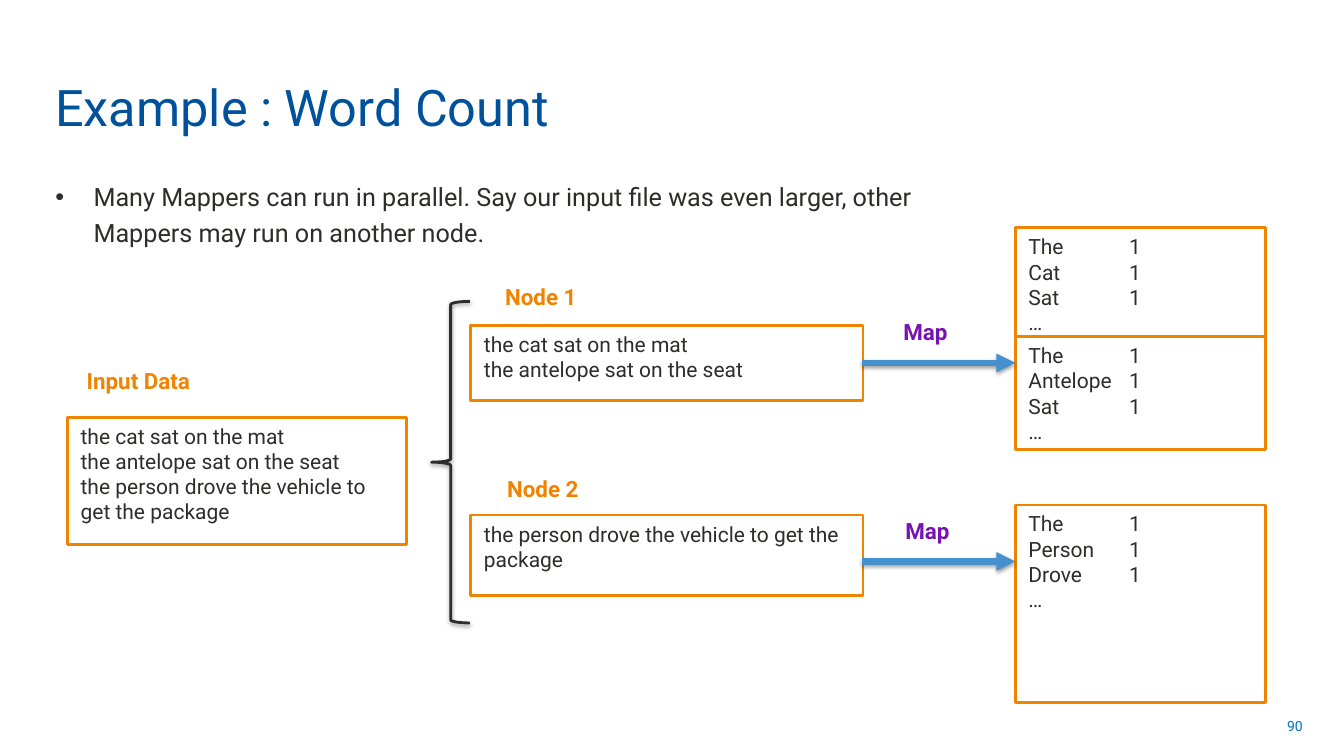
"""Build the word count slide showing mappers running in parallel."""
from dataclasses import dataclass

from lxml import etree
from pptx import Presentation
from pptx import util as u
from pptx.dml.color import RGBColor
from pptx.enum import shapes, text
from pptx.oxml.ns import qn

PX = 9144
FONT = "Roboto"
WHITE = RGBColor(0xFF, 0xFF, 0xFF)
INK = RGBColor(0x2E, 0x2D, 0x2C)
NAVY = RGBColor(0x00, 0x51, 0x9C)
BLUE = RGBColor(0x00, 0x70, 0xC0)
SKY = RGBColor(0x45, 0x91, 0xCE)
ORANGE = RGBColor(0xF0, 0x83, 0x00)
PURPLE = RGBColor(0x77, 0x13, 0xB2)
TAB = 100
BULLET_INDENT = 38


@dataclass(frozen=True)
class Box:
    x: int
    y: int
    w: int
    h: int

    def emu(self) -> list[u.Emu]:
        return [u.Emu(v * PX) for v in (self.x, self.y, self.w, self.h)]


@dataclass(frozen=True)
class Panel:
    box: Box
    lines: tuple[str, ...]


@dataclass(frozen=True)
class Label:
    box: Box
    words: str
    color: RGBColor = ORANGE


@dataclass(frozen=True)
class Arrow:
    x1: int
    x2: int
    y: int


def counts(*words: str) -> tuple[str, ...]:
    return (*(f"{word}\t1" for word in words), "…")


PANELS = [
    Panel(Box(67, 414, 336, 126), (
        "the cat sat on the mat",
        "the antelope sat on the seat",
        "the person drove the vehicle to get the package",
    )),
    Panel(Box(467, 323, 389, 74),
          ("the cat sat on the mat", "the antelope sat on the seat")),
    Panel(Box(467, 511, 389, 80),
          ("the person drove the vehicle to get the package",)),
    Panel(Box(1007, 226, 248, 108), counts("The", "Cat", "Sat")),
    Panel(Box(1007, 334, 248, 112), counts("The", "Antelope", "Sat")),
    Panel(Box(1007, 501, 248, 196), counts("The", "Person", "Drove")),
]
LABELS = [
    Label(Box(73, 358, 214, 40), "Input Data"),
    Label(Box(488, 275, 144, 40), "Node 1"),
    Label(Box(490, 465, 144, 40), "Node 2"),
    Label(Box(883, 310, 115, 40), "Map", PURPLE),
    Label(Box(885, 507, 115, 40), "Map", PURPLE),
]
ARROWS = [Arrow(855, 1007, 360), Arrow(855, 1007, 557)]
BRACE = Box(428, 299, 38, 319)


def add_tab_stop(p) -> None:
    tabs = etree.SubElement(p._p.get_or_add_pPr(), qn("a:tabLst"))
    etree.SubElement(tabs, qn("a:tab"), pos=str(TAB * PX), algn="l")


def add_bullet(p) -> None:
    props = p._p.get_or_add_pPr()
    props.set("marL", str(BULLET_INDENT * PX))
    props.set("indent", str(-BULLET_INDENT * PX))
    etree.SubElement(props, qn("a:buFont"), typeface="Arial")
    etree.SubElement(props, qn("a:buChar"), char="•")


def add_shadow(sp) -> None:
    props = sp._element.spPr
    for old in props.findall(qn("a:effectLst")):
        props.remove(old)
    effects = etree.SubElement(props, qn("a:effectLst"))
    shadow = etree.SubElement(
        effects, qn("a:outerShdw"), blurRad=str(u.Pt(3.1)), dist=str(u.Pt(1.6)),
        dir="5400000", rotWithShape="0")
    color = etree.SubElement(shadow, qn("a:srgbClr"), val="000000")
    etree.SubElement(color, qn("a:alpha"), val="38000")


def write(sp, *lines: str, size: int, color: RGBColor = INK, bold: bool = False,
          align=text.PP_ALIGN.LEFT, anchor=text.MSO_ANCHOR.TOP,
          inset: tuple[int, int] = (13, 6), bullet: bool = False,
          spacing: float | None = None) -> None:
    tf = sp.text_frame
    tf.word_wrap = True
    tf.vertical_anchor = anchor
    tf.margin_left = tf.margin_right = u.Emu(inset[0] * PX)
    tf.margin_top = tf.margin_bottom = u.Emu(inset[1] * PX)
    for i, line in enumerate(lines):
        p = tf.add_paragraph() if i else tf.paragraphs[0]
        p.alignment = align
        if spacing:
            p.line_spacing = spacing
        if bullet:
            add_bullet(p)
        if "\t" in line:
            add_tab_stop(p)
        r = p.add_run()
        r.text = line
        r.font.name = FONT
        r.font.size = u.Pt(size)
        r.font.bold = bold
        r.font.color.rgb = color


def add_text(s, box: Box, *lines: str, **style):
    sp = s.shapes.add_textbox(*box.emu())
    write(sp, *lines, **style)
    return sp


def add_panel(s, panel: Panel) -> None:
    sp = s.shapes.add_shape(shapes.MSO_SHAPE.RECTANGLE, *panel.box.emu())
    sp.shadow.inherit = False
    sp.fill.solid()
    sp.fill.fore_color.rgb = WHITE
    sp.line.color.rgb = ORANGE
    sp.line.width = u.Pt(2)
    write(sp, *panel.lines, size=15)


def add_label(s, label: Label) -> None:
    sp = add_text(s, label.box, label.words, size=16, color=label.color, bold=True)
    sp.text_frame.auto_size = text.MSO_AUTO_SIZE.SHAPE_TO_FIT_TEXT


def add_arrow(s, arrow: Arrow) -> None:
    ends = (arrow.x1, arrow.y, arrow.x2, arrow.y)
    sp = s.shapes.add_connector(shapes.MSO_CONNECTOR.STRAIGHT,
                                *(u.Emu(v * PX) for v in ends))
    sp.line.color.rgb = SKY
    sp.line.width = u.Pt(4.5)
    etree.SubElement(sp.line._get_or_add_ln(), qn("a:tailEnd"), type="triangle")
    add_shadow(sp)


def add_brace(s, box: Box) -> None:
    sp = s.shapes.add_shape(shapes.MSO_SHAPE.LEFT_BRACE, *box.emu())
    sp.fill.background()
    sp.line.color.rgb = INK
    sp.line.width = u.Pt(2)
    add_shadow(sp)


def main() -> None:
    prs = Presentation()
    prs.slide_width, prs.slide_height = u.Emu(1333 * PX), u.Emu(750 * PX)
    s = prs.slides.add_slide(prs.slide_layouts[6])
    add_text(s, Box(991, 700, 311, 40), "90", size=10, color=BLUE, inset=(10, 5),
             align=text.PP_ALIGN.RIGHT, anchor=text.MSO_ANCHOR.MIDDLE)
    add_text(s, Box(45, 14, 998, 126), "Example : Word Count", size=36, color=NAVY,
             inset=(10, 5), anchor=text.MSO_ANCHOR.BOTTOM)
    add_text(s, Box(45, 169, 870, 96),
             "Many Mappers can run in parallel. Say our input file was even larger, "
             "other Mappers may run on another node.",
             size=18, inset=(10, 5), bullet=True, spacing=1.2)
    add_brace(s, BRACE)
    for panel in PANELS:
        add_panel(s, panel)
    for arrow in ARROWS:
        add_arrow(s, arrow)
    for label in LABELS:
        add_label(s, label)
    prs.save("out.pptx")


if __name__ == "__main__":
    main()
